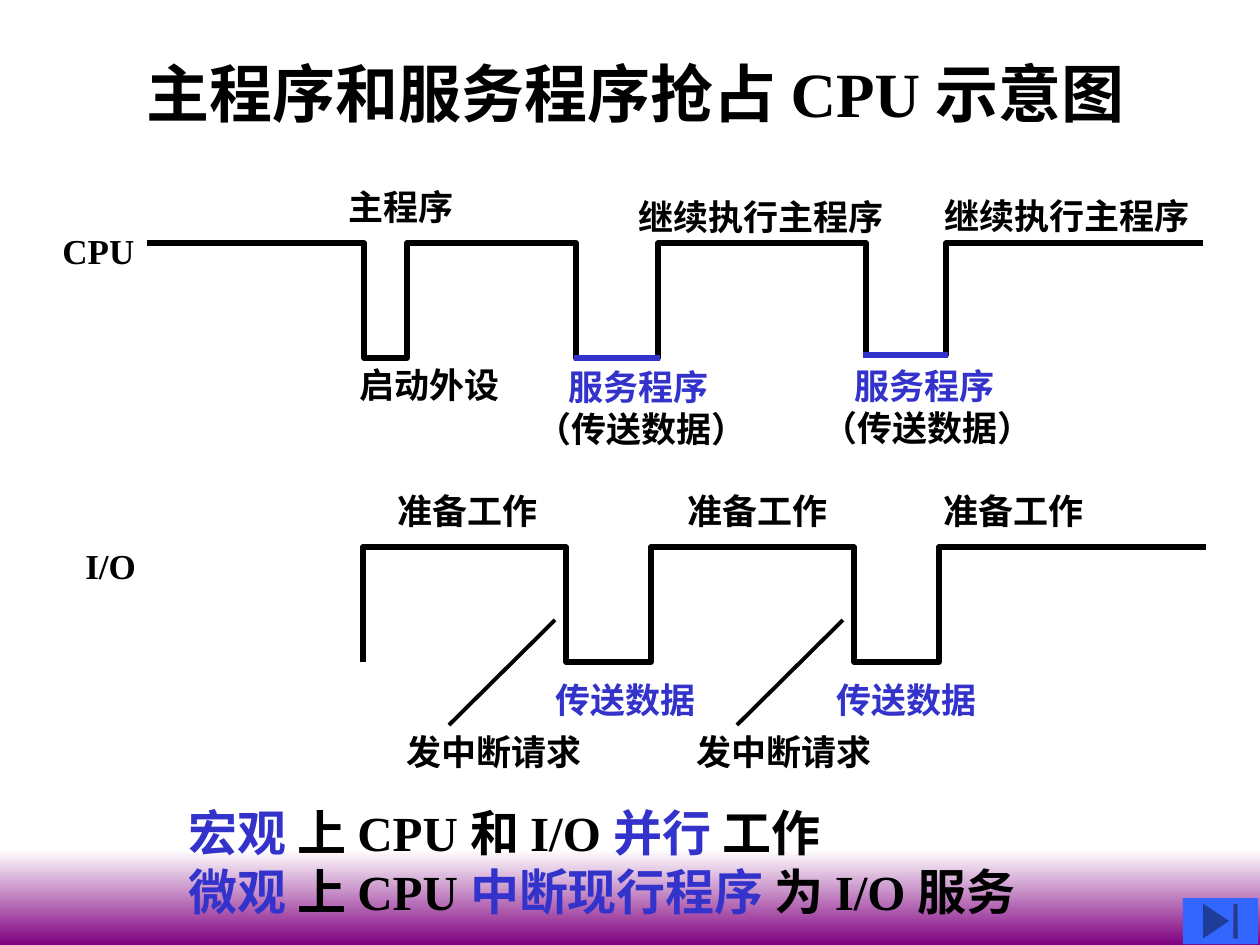
import pptx
import pptx.util
import pptx.dml.color
import pptx.enum.shapes
import pptx.enum.text
from lxml import etree

PX = 914400 / 126  # EMU per px
FONT = "Times New Roman"
BLACK, BLUE = "000000", "3333CC"


def emu(pixels):
    return pptx.util.Emu(round(pixels * PX))


def color(hex_string):
    return pptx.dml.color.RGBColor.from_string(hex_string)


def add_text(slide, box, paragraphs, size=20, wrap=False, indent=0):
    """Each paragraph is a list of (text, colour) runs; indent moves the first one."""
    shape = slide.shapes.add_textbox(*map(emu, box))
    frame = shape.text_frame
    frame.word_wrap = wrap
    frame.auto_size = pptx.enum.text.MSO_AUTO_SIZE.NONE
    for index, runs in enumerate(paragraphs):
        paragraph = frame.paragraphs[0] if index == 0 else frame.add_paragraph()
        if index == 0 and indent:
            paragraph._p.get_or_add_pPr().set("marL", str(emu(indent)))
        paragraph.font.name = FONT
        paragraph.font.size = pptx.util.Pt(size)
        paragraph.font.bold = True
        for text, run_color in runs:
            run = paragraph.add_run()
            run.text = text
            run.font.color.rgb = color(run_color)


def add_label(slide, left, top, text, text_color=BLACK):
    """One line of Chinese text, 35 px to the character plus the insets."""
    box = (left, top, 25 + 35 * len(text), 55)
    add_text(slide, box, [[(text, text_color)]])


def add_service_label(slide, left, top):
    add_text(slide, (left, top, 236, 97),
             [[("服务程序", BLUE)], [("（传送数据）", BLACK)]], indent=32)


def add_line(slide, start, end, line_color, width):
    line = slide.shapes.add_connector(
        pptx.enum.shapes.MSO_CONNECTOR.STRAIGHT, *map(emu, start + end))
    line.line.color.rgb = color(line_color)
    line.line.width = pptx.util.Pt(width)
    etree.SubElement(line._element.spPr, pptx.oxml.ns.qn("a:effectLst"))


def add_wave(slide, edges, levels):
    """Step line that holds each level from one edge to the next."""
    points = []
    for left, right, level in zip(edges, edges[1:], levels):
        points += [(left, level), (right, level)]
    points = list(dict.fromkeys(points))
    builder = slide.shapes.build_freeform(*points[0], scale=PX)
    builder.add_line_segments(points[1:], close=False)
    shape = builder.convert_to_shape()
    shape.shadow.inherit = False
    shape.fill.background()
    shape.line.color.rgb = color(BLACK)
    shape.line.width = pptx.util.Pt(3)


def add_plain_shape(slide, kind, box):
    shape = slide.shapes.add_shape(kind, *map(emu, box))
    shape.shadow.inherit = False
    shape.line.fill.background()
    return shape


def add_footer_band(slide):
    band = add_plain_shape(slide, pptx.enum.shapes.MSO_SHAPE.RECTANGLE,
                           (0, 850, 1260, 95))
    band.fill.gradient()
    band.fill.gradient_angle = 270
    stops = zip(band.fill.gradient_stops, (0, 1), ("FFFFFF", "800080"))
    for stop, position, stop_color in stops:
        stop.position = position
        stop.color.rgb = color(stop_color)


def add_cpu_diagram(slide):
    high, low, last_low = 243, 358, 355
    add_wave(slide, [147, 364, 407, 576, 658, 866, 946, 1203],
             [high, low, high, low, high, last_low, high])
    add_text(slide, (50, 223, 97, 55), [[("CPU", BLACK)]])
    add_label(slide, 336, 179, "主程序")
    add_label(slide, 626, 189, "继续执行主程序")
    add_label(slide, 932, 188, "继续执行主程序")
    add_label(slide, 347, 357, "启动外设")
    add_service_label(slide, 524, 359)
    add_service_label(slide, 810, 358)
    # Service periods
    add_line(slide, (574, low), (660, low), BLUE, 3)
    add_line(slide, (863, last_low), (948, last_low), BLUE, 3)


def add_io_diagram(slide):
    high, low = 547, 662
    add_wave(slide, [363, 363, 566, 651, 854, 939, 1206],
             [low, high, low, high, low, high])
    add_text(slide, (73, 538, 76, 55), [[("I/O", BLACK)]])
    for left in (385, 675, 931):
        add_label(slide, left, 483, "准备工作")
    for left in (543, 824):
        add_label(slide, left, 672, "传送数据", BLUE)
    # Interrupt requests with their pointers
    for label_left, line_left in ((394, 449), (684, 737)):
        add_label(slide, label_left, 724, "发中断请求")
        add_line(slide, (line_left, 725), (line_left + 106, 620), BLACK, 2.25)


def main():
    presentation = pptx.Presentation()
    presentation.slide_width = emu(1260)
    presentation.slide_height = emu(945)
    slide = presentation.slides.add_slide(presentation.slide_layouts[6])

    add_footer_band(slide)
    add_text(slide, (134, 48, 1024, 164),
             [[("主程序和服务程序抢占 CPU 示意图", BLACK)]], size=36, wrap=True)
    add_io_diagram(slide)

    # Summary
    add_text(slide, (176, 796, 1010, 131), [
        [("宏观 ", BLUE), ("上 CPU 和 I/O ", BLACK), ("并行 ", BLUE), ("工作", BLACK)],
        [("微观 ", BLUE), ("上 CPU ", BLACK), ("中断现行程序 ", BLUE),
         ("为 I/O 服务", BLACK)],
    ], size=28, wrap=True)
    add_cpu_diagram(slide)

    # Navigation button
    button = add_plain_shape(slide, pptx.enum.shapes.MSO_SHAPE.ACTION_BUTTON_END,
                             (1183, 898, 75, 46))
    button.fill.solid()
    button.fill.fore_color.rgb = color("3366FF")
    # The button is a bevelled frame with a bar and a triangle
    button.adjustments  # placeholder-free preset
    presentation.save("out.pptx")


if __name__ == "__main__":
    main()
